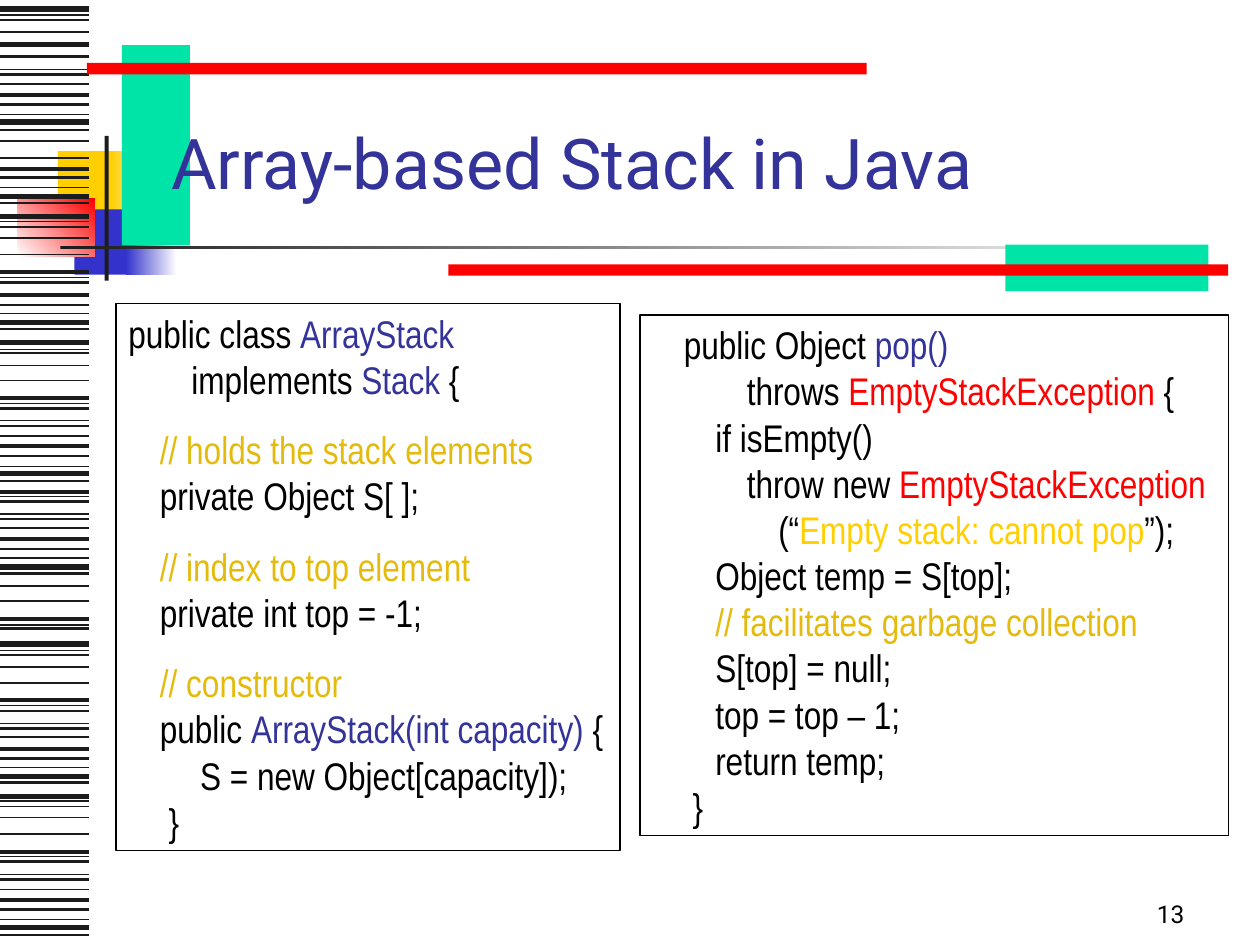
from lxml.etree import SubElement
from pptx import Presentation
from pptx.dml.color import RGBColor
from pptx.enum.shapes import MSO_CONNECTOR, MSO_SHAPE
from pptx.enum.text import MSO_ANCHOR, MSO_AUTO_SIZE, PP_ALIGN
from pptx.oxml.ns import qn
from pptx.util import Cm, Pt

BLACK, INK, NAVY, BLUE = "000000", "1C1C1C", "333399", "3333CC"
RED, GREEN, YELLOW, GOLD, WHITE = "FF0000", "00E4A8", "FFCF01", "E4BB0C", "FFFFFF"
TAB = 0.635

BARS = {
    3: [0.18, 0.89, 2.46, 3.96, 4.37, 6.5, 6.91, 9.55, 11.43, 12.98, 15.65,
        16.05, 18.69],
    2.25: [1.91, 3.4, 5.49, 5.94, 8.03, 8.99, 9.91, 10.87, 12.47, 14.12, 15.09,
           17.17, 18.14],
    1.5: [1.14, 1.5, 2.11, 2.62, 3.58, 4.09, 5.69, 6.15, 6.63, 8.23, 8.59, 9.19,
          9.7, 10.11, 10.46, 11.07, 11.56, 12.67, 14.33, 14.68, 15.29, 15.77,
          17.37, 17.73, 18.34, 18.85],
    1: [0.41, 0.64, 1.7, 2.84, 3.18, 4.57, 4.8, 5.13, 7.11, 7.37, 7.67, 8.79,
        10.64, 11.81, 12.12, 13.21, 13.44, 13.77, 14.86, 16.26, 16.48, 16.81,
        17.93],
    0.75: [0.3, 1.4, 2.31, 3.78, 4.47, 5.59, 6.32, 7.04, 8.13, 8.48, 9.4, 10.01,
           10.36, 11.25, 12.6, 13.11, 14.22, 14.58, 15.47, 16.15, 17.27, 17.63,
           18.54],
}

CLASS_CODE = [
    [("public class ", BLACK), ("ArrayStack\n\t\t", NAVY), ("implements ", BLACK),
     ("Stack ", NAVY), ("{", BLACK)],
    [("\t// holds the stack elements \n\t", GOLD), ("private Object S[ ];", BLACK)],
    [("\t// index to top element\n\t", GOLD), ("private int top = -1;", BLACK)],
    [("\t// constructor\n\t", GOLD), ("public ", BLACK),
     ("ArrayStack(int capacity) ", NAVY),
     ("{\n\t\t S = new Object[capacity]);\n\t }", BLACK)],
]
POP_CODE = [
    [("\tpublic Object ", BLACK), ("pop()\n\t\t\t", NAVY), ("throws ", BLACK),
     ("EmptyStackException ", RED), ("{\n\t\tif isEmpty()\n\t\t\tthrow new ", BLACK),
     ("EmptyStackException\n\t\t\t\t", RED), ("(“", BLACK),
     ("Empty stack: cannot pop", YELLOW),
     ("”);\n\t\tObject temp = S[top];\n\t\t", BLACK),
     ("// facilitates garbage collection \n\t\t", GOLD),
     ("S[top] = null;\n\t\ttop = top – 1;\n\t\treturn temp;\n\t }", BLACK)],
]


def rgb(color):
    return RGBColor.from_string(color)


def write(tf, paragraphs, size, font, align=PP_ALIGN.LEFT, anchor=MSO_ANCHOR.TOP,
          before=0, tabs=0):
    tf.word_wrap = True
    tf.auto_size = MSO_AUTO_SIZE.NONE
    tf.vertical_anchor = anchor
    for i, parts in enumerate(paragraphs):
        p = tf.add_paragraph() if i else tf.paragraphs[0]
        p.alignment = align
        p.space_before = Pt(before)
        if tabs:
            tab_list = SubElement(p._p.get_or_add_pPr(), qn("a:tabLst"))
            for n in range(tabs):
                SubElement(tab_list, qn("a:tab"), pos=str(Cm(n * TAB)), algn="l")
        for text, color in parts:
            for n, line in enumerate(text.split("\n")):
                if n:
                    p.add_line_break()
                if line:
                    r = p.add_run()
                    r.text = line
                    r.font.size = Pt(size)
                    r.font.name = font
                    r.font.color.rgb = rgb(color)


def add_rect(s, x, y, w, h, *colors, angle=0):
    sp = s.shapes.add_shape(MSO_SHAPE.RECTANGLE, Cm(x), Cm(y), Cm(w), Cm(h))
    sp.shadow.inherit = False
    sp.line.fill.background()
    if len(colors) == 2:
        sp.fill.gradient()
        sp.fill.gradient_angle = angle
        for stop, color in zip(sp.fill.gradient_stops, colors):
            stop.color.rgb = rgb(color)
    elif colors:
        sp.fill.solid()
        sp.fill.fore_color.rgb = rgb(colors[0])
    else:
        sp.fill.background()
    return sp


def add_emblem(s, x, y):
    add_rect(s, x + 0.81, y + 0.31, 1.22, 1.32, YELLOW)
    add_rect(s, x + 1.88, y + 0.31, 0.91, 1.32, YELLOW, WHITE)
    add_rect(s, x + 1.14, y + 1.48, 1.17, 1.32, BLUE)
    add_rect(s, x + 2.18, y + 1.48, 1.02, 1.32, BLUE, WHITE)
    add_rect(s, x, y + 1.27, 1.55, 1.17, WHITE, RED, angle=45)
    add_rect(s, x + 1.75, y, 0.08, 2.92, INK)
    add_rect(s, x + 0.86, y + 2.21, 22.86, 0.08, INK, WHITE)


def add_barcode(s, x, y, w):
    for weight, offsets in BARS.items():
        for dy in offsets:
            line = s.shapes.add_connector(MSO_CONNECTOR.STRAIGHT, Cm(x), Cm(y + dy),
                                          Cm(x + w), Cm(y + dy))
            line.line.width = Pt(weight)
            line.line.color.rgb = rgb(INK)
            SubElement(line._element.spPr, qn("a:effectLst"))


def add_title_frame(s, x, y):
    add_rect(s, x + 0.71, y, 1.37, 4.04, GREEN)
    add_rect(s, x, y + 0.36, 15.72, 0.23, RED)
    add_rect(s, x + 18.52, y + 4.02, 4.09, 0.94, GREEN)
    add_rect(s, x + 7.29, y + 4.42, 15.72, 0.23, RED)


def add_title(s, x, y, w, h, text):
    title = s.shapes.title
    title.left, title.top, title.width, title.height = Cm(x), Cm(y), Cm(w), Cm(h)
    write(title.text_frame, [[(text, NAVY)]], 40, "Roboto", anchor=MSO_ANCHOR.BOTTOM)
    s.shapes._spTree.append(title._element)


def add_code(s, x, y, w, h, code):
    sp = add_rect(s, x, y, w, h)
    sp.line.color.rgb = rgb(BLACK)
    sp.line.width = Pt(0.75)
    write(sp.text_frame, code, 22, "Arial Narrow", before=13.8, tabs=8)


def add_page_number(s, x, y, w, h, number):
    sp = s.shapes.add_textbox(Cm(x), Cm(y), Cm(w), Cm(h))
    write(sp.text_frame, [[(number, BLACK)]], 14, "Roboto", align=PP_ALIGN.RIGHT,
          anchor=MSO_ANCHOR.BOTTOM)


def main():
    prs = Presentation()
    prs.slide_width, prs.slide_height = Cm(25.4), Cm(19.05)
    s = prs.slides.add_slide(prs.slide_layouts[5])
    add_emblem(s, 0.36, 2.74)
    add_barcode(s, 0, 0, 1.8)
    add_title_frame(s, 1.75, 0.91)
    add_page_number(s, 18.85, 17.58, 5.28, 1.27, "13")
    add_title(s, 3.2, 1.73, 21.64, 2.51, "Array-based Stack in Java")
    add_code(s, 2.34, 6.12, 10.16, 11.02, CLASS_CODE)
    add_code(s, 12.9, 6.35, 11.86, 10.49, POP_CODE)
    prs.save("out.pptx")


if __name__ == "__main__":
    main()
